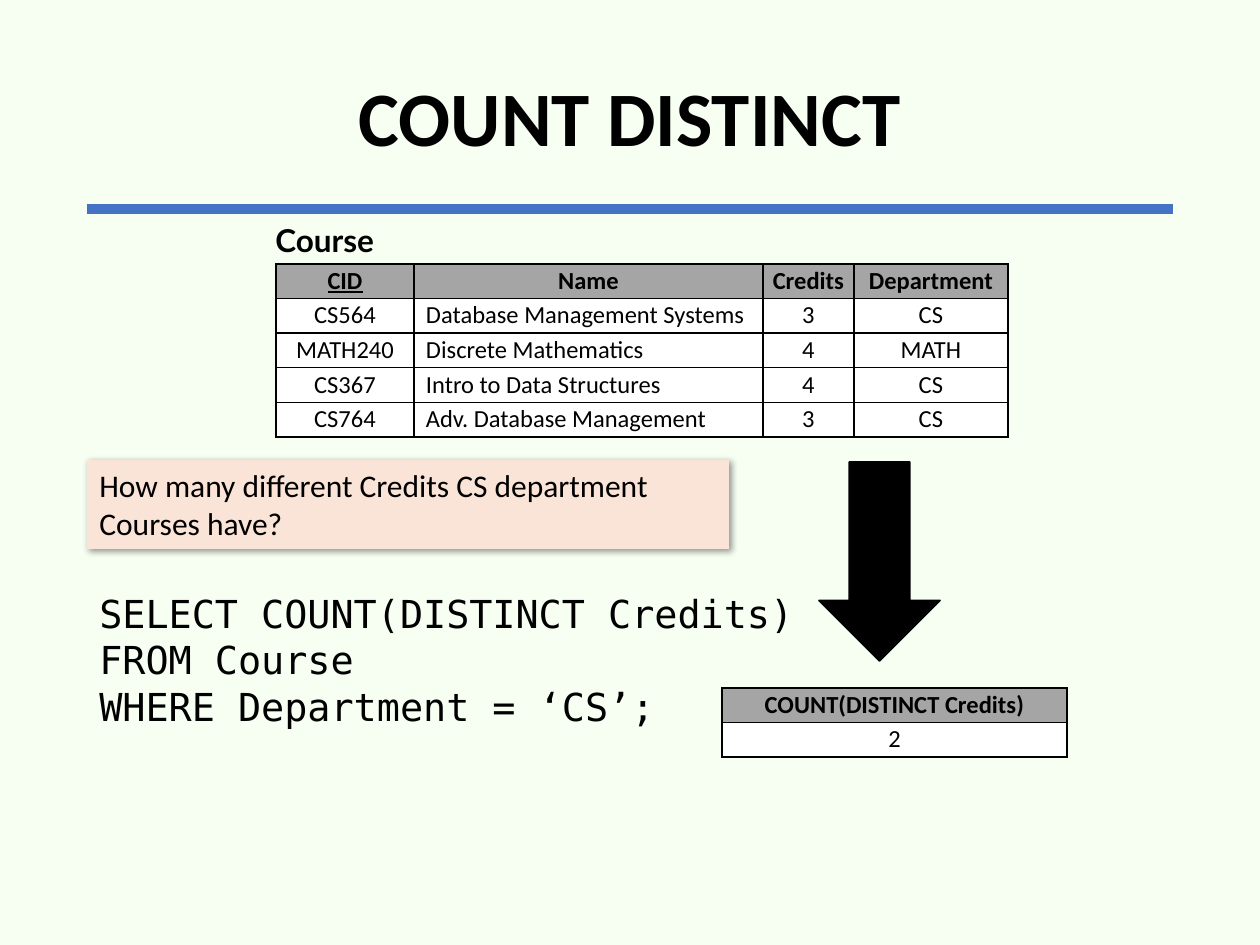
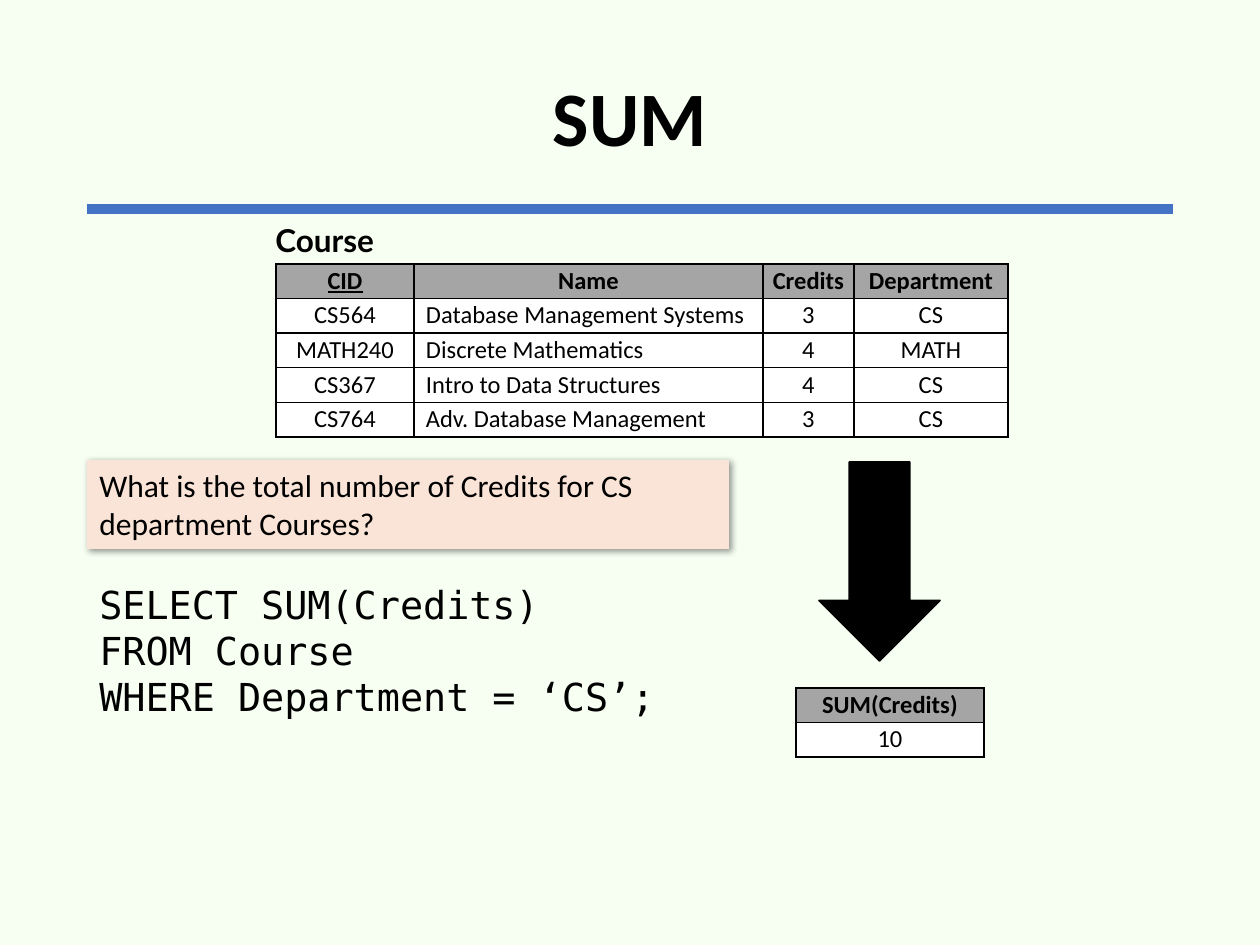
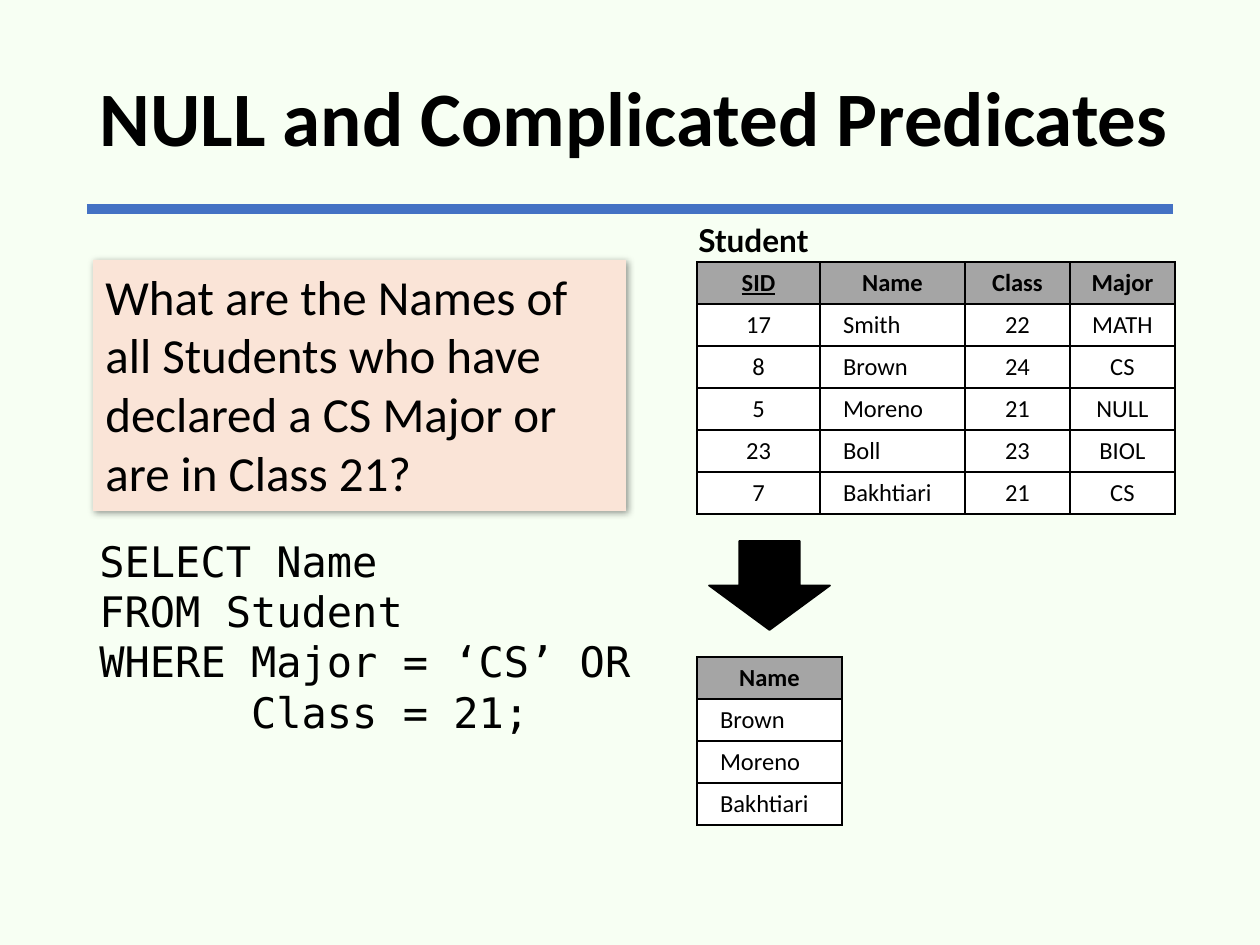
"""Build three SQL lecture slides on aggregates and NULL predicates."""
from dataclasses import dataclass

import pptx
import pptx.dml.color
import pptx.enum.shapes
import pptx.enum.text
import pptx.oxml
import pptx.oxml.ns
import pptx.util

EMU_PER_PX = 914400 / 126
BACKGROUND, RULE, QUESTION, HEADER = "F7FFF3", "4472C4", "FAE4D7", "A5A5A5"
BLACK, WHITE = "000000", "FFFFFF"
BODY, LABEL, CODE = "Calibri", "Lato", "DejaVu Sans Mono"
CENTER = pptx.enum.text.PP_ALIGN.CENTER
LEFT = pptx.enum.text.PP_ALIGN.LEFT
COURSE_ROWS = (
    ("CID", "Name", "Credits", "Department"),
    ("CS564", "Database Management Systems", "3", "CS"),
    ("MATH240", "Discrete Mathematics", "4", "MATH"),
    ("CS367", "Intro to Data Structures", "4", "CS"),
    ("CS764", "Adv. Database Management", "3", "CS"),
)
STUDENT_ROWS = (
    ("SID", "Name", "Class", "Major"),
    ("17", "Smith", "22", "MATH"),
    ("8", "Brown", "24", "CS"),
    ("5", "Moreno", "21", "NULL"),
    ("23", "Boll", "23", "BIOL"),
    ("7", "Bakhtiari", "21", "CS"),
)


@dataclass(frozen=True)
class Box:
    left: int
    top: int
    width: int
    height: int


@dataclass(frozen=True)
class Font:
    name: str
    size: int
    bold: bool = False
    underline: bool = False


@dataclass(frozen=True)
class Relation:
    left: int
    top: int
    height: int
    widths: tuple[int, ...]
    rows: tuple[tuple[str, ...], ...]
    inset_x: int = 2
    inset_y: int = 2
    key: str = ""


@dataclass(frozen=True)
class Example:
    title: str
    title_box: Box
    label: str
    label_box: Box
    source: Relation
    question: str
    question_box: Box
    question_size: int
    query: tuple[str, ...]
    query_box: Box
    query_size: int
    arrow_box: Box
    result: Relation


TITLE_BOX = Box(87, 30, 1086, 183)
COURSE_LABEL = Box(263, 215, 127, 50)
COURSE = Relation(276, 264, 173, (138, 349, 91, 154), COURSE_ROWS, key="CID")
COURSE_QUESTION = Box(87, 460, 642, 89)
COURSE_ARROW = Box(819, 462, 121, 199)

EXAMPLES = (
    Example(
        "COUNT DISTINCT", TITLE_BOX, "Course", COURSE_LABEL, COURSE,
        "How many different Credits CS department Courses have?", COURSE_QUESTION, 18,
        ("SELECT COUNT(DISTINCT Credits)", "FROM Course", "WHERE Department = ‘CS’;"),
        Box(87, 584, 756, 174), 22, COURSE_ARROW,
        Relation(722, 688, 69, (345,), (("COUNT(DISTINCT Credits)",), ("2",))),
    ),
    Example(
        "SUM", TITLE_BOX, "Course", COURSE_LABEL, COURSE,
        "What is the total number of Credits for CS department Courses?", COURSE_QUESTION, 18,
        ("SELECT SUM(Credits)", "FROM Course", "WHERE Department = ‘CS’;"),
        Box(87, 575, 756, 174), 22, COURSE_ARROW,
        Relation(796, 688, 69, (188,), (("SUM(Credits)",), ("10",))),
    ),
    Example(
        "NULL and Complicated Predicates", Box(72, 30, 1125, 183),
        "Student", Box(686, 215, 136, 50),
        Relation(697, 262, 252, (123, 145, 105, 105), STUDENT_ROWS, 13, 6, "SID"),
        "What are the Names of all Students who have declared a CS Major or are in Class 21?",
        Box(93, 260, 533, 251), 28,
        ("SELECT Name", "FROM Student", "WHERE Major = ‘CS’ OR", "      Class = 21;"),
        Box(87, 529, 563, 226), 24, Box(709, 541, 121, 89),
        Relation(697, 657, 168, (145,),
                 (("Name",), ("Brown",), ("Moreno",), ("Bakhtiari",)), 13, 6),
    ),
)


def px(length: float) -> int:
    """Convert pixels to EMU."""
    return round(length * EMU_PER_PX)


def rgb(value: str) -> pptx.dml.color.RGBColor:
    """Turn a hex string into a colour."""
    return pptx.dml.color.RGBColor.from_string(value)


def place(box: Box) -> tuple[int, int, int, int]:
    """Give the EMU position and size of a box."""
    return px(box.left), px(box.top), px(box.width), px(box.height)


def xml(markup: str):
    """Parse an element written with the a: prefix."""
    head, rest = markup.split(" ", 1)
    return pptx.oxml.parse_xml(f"{head} {pptx.oxml.ns.nsdecls('a')} {rest}")


def write(frame, lines: tuple[str, ...], font: Font, align=LEFT, spacing: float = 1.0) -> None:
    """Fill a text frame with one paragraph per line."""
    for number, line in enumerate(lines):
        paragraph = frame.add_paragraph() if number else frame.paragraphs[0]
        paragraph.alignment = align
        paragraph.line_spacing = spacing
        run = paragraph.add_run()
        run.text = line
        run.font.name = font.name
        run.font.size = pptx.util.Pt(font.size)
        run.font.bold = font.bold
        run.font.underline = font.underline
        run.font.color.rgb = rgb(BLACK)


def add_text(slide, box: Box, lines: tuple[str, ...], font: Font, wrap: bool = True,
             align=LEFT, spacing: float = 1.0, anchor=pptx.enum.text.MSO_ANCHOR.TOP) -> None:
    """Add a text box."""
    frame = slide.shapes.add_textbox(*place(box)).text_frame
    frame.word_wrap = wrap
    frame.vertical_anchor = anchor
    write(frame, lines, font, align, spacing)


def add_heading(slide, title: str, box: Box) -> None:
    """Add the rule and the title above it."""
    rule = slide.shapes.add_connector(
        pptx.enum.shapes.MSO_CONNECTOR.STRAIGHT, px(87), px(209), px(1173), px(209))
    rule.line.color.rgb = rgb(RULE)
    rule.line.width = pptx.util.Pt(6)
    rule._element.spPr.append(xml("<a:effectLst />"))
    add_text(slide, box, (title,), Font(BODY, 44, True), align=CENTER, spacing=0.9,
             anchor=pptx.enum.text.MSO_ANCHOR.MIDDLE)


def add_question(slide, box: Box, question: str, size: int) -> None:
    """Add the shaded question card with a soft shadow."""
    card = slide.shapes.add_shape(pptx.enum.shapes.MSO_SHAPE.RECTANGLE, *place(box))
    card.fill.solid()
    card.fill.fore_color.rgb = rgb(QUESTION)
    card.line.fill.background()
    card._element.spPr.append(xml(
        '<a:effectLst ><a:outerShdw blurRad="50800" dist="12700" dir="2700000" algn="tl" '
        f'rotWithShape="0"><a:srgbClr val="{BLACK}"><a:alpha val="40000"/></a:srgbClr>'
        "</a:outerShdw></a:effectLst>"))
    card.text_frame.word_wrap = True
    card.text_frame.vertical_anchor = pptx.enum.text.MSO_ANCHOR.TOP
    write(card.text_frame, (question,), Font(BODY, size))


def add_arrow(slide, box: Box) -> None:
    """Add the black arrow that points to the result."""
    arrow = slide.shapes.add_shape(pptx.enum.shapes.MSO_SHAPE.DOWN_ARROW, *place(box))
    arrow.shadow.inherit = False
    arrow.fill.solid()
    arrow.fill.fore_color.rgb = rgb(BLACK)
    arrow.line.color.rgb = rgb(BLACK)
    arrow.line.width = pptx.util.Pt(1)


def fill_cell(cell, value: str, relation: Relation, heading: str, is_header: bool) -> None:
    """Style one cell and write its value."""
    cell.margin_left = cell.margin_right = px(relation.inset_x)
    cell.margin_top = cell.margin_bottom = px(relation.inset_y)
    properties = cell._tc.get_or_add_tcPr()
    for side in "LRTB":
        properties.append(xml(
            f'<a:ln{side} w="12700"><a:solidFill><a:srgbClr val="{BLACK}"/></a:solidFill>'
            f"</a:ln{side}>"))
    cell.fill.solid()
    cell.fill.fore_color.rgb = rgb(HEADER if is_header else WHITE)
    is_name = heading == "Name" and not is_header
    font = Font(BODY, 14, is_header, is_header and value == relation.key)
    write(cell.text_frame, (value,), font, LEFT if is_name else CENTER)
    if is_name:
        cell.text_frame.paragraphs[0]._p.get_or_add_pPr().set("marL", str(px(10)))


def add_relation(slide, relation: Relation) -> None:
    """Add a relation as a table with a grey header row."""
    box = Box(relation.left, relation.top, sum(relation.widths), relation.height)
    headings = relation.rows[0]
    table = slide.shapes.add_table(len(relation.rows), len(headings), *place(box)).table
    table.horz_banding = False
    for column, width in zip(table.columns, relation.widths):
        column.width = px(width)
    for row_number, values in enumerate(relation.rows):
        table.rows[row_number].height = px(relation.height / len(relation.rows))
        for column_number, value in enumerate(values):
            fill_cell(table.cell(row_number, column_number), value, relation,
                      headings[column_number], row_number == 0)


def add_example(deck, example: Example) -> None:
    """Add one slide that leads from a relation to a query result."""
    slide = deck.slides.add_slide(deck.slide_layouts[6])
    add_heading(slide, example.title, example.title_box)
    add_text(slide, example.query_box, example.query, Font(CODE, example.query_size))
    add_arrow(slide, example.arrow_box)
    add_text(slide, example.label_box, (example.label,), Font(LABEL, 18, True), wrap=False)
    add_relation(slide, example.source)
    add_relation(slide, example.result)
    add_question(slide, example.question_box, example.question, example.question_size)


def main() -> None:
    """Build and save the deck."""
    deck = pptx.Presentation()
    deck.slide_width, deck.slide_height = px(1260), px(945)
    background = deck.slide_master.background.fill
    background.solid()
    background.fore_color.rgb = rgb(BACKGROUND)
    for example in EXAMPLES:
        add_example(deck, example)
    deck.save("out.pptx")


if __name__ == "__main__":
    main()
